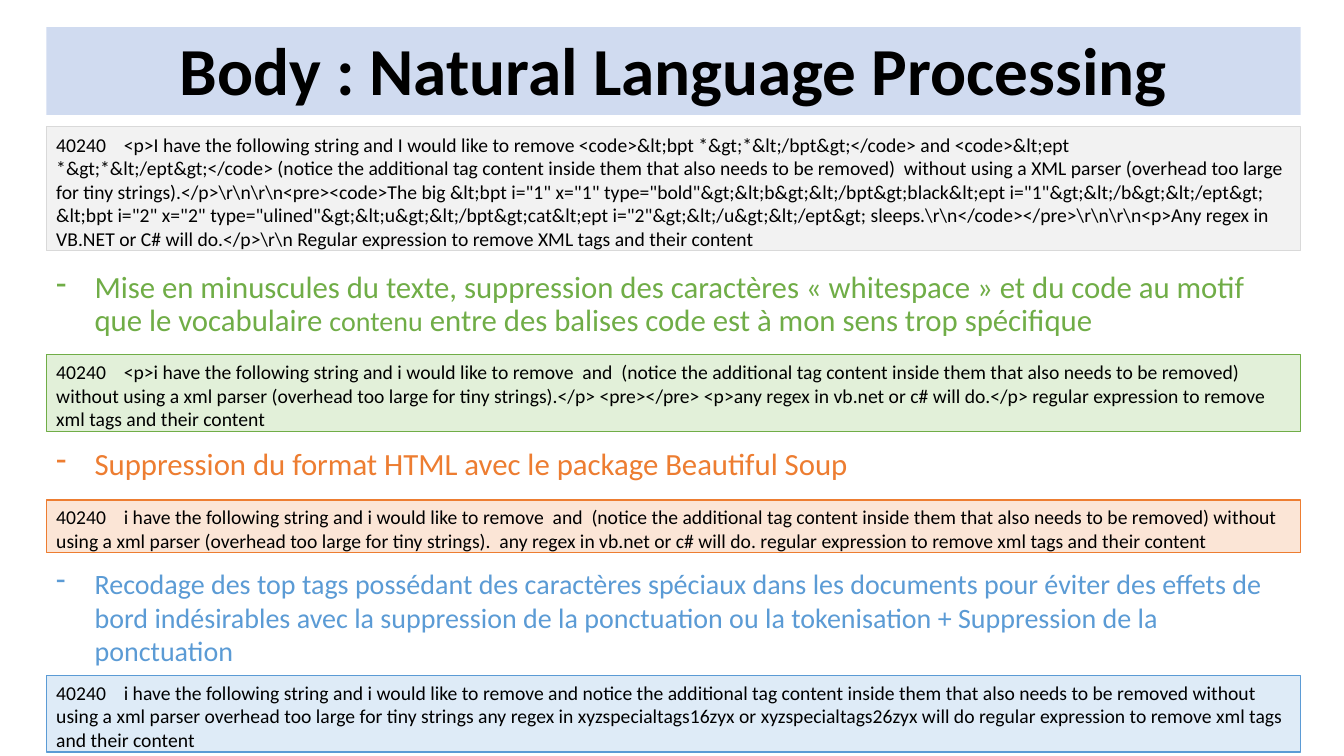
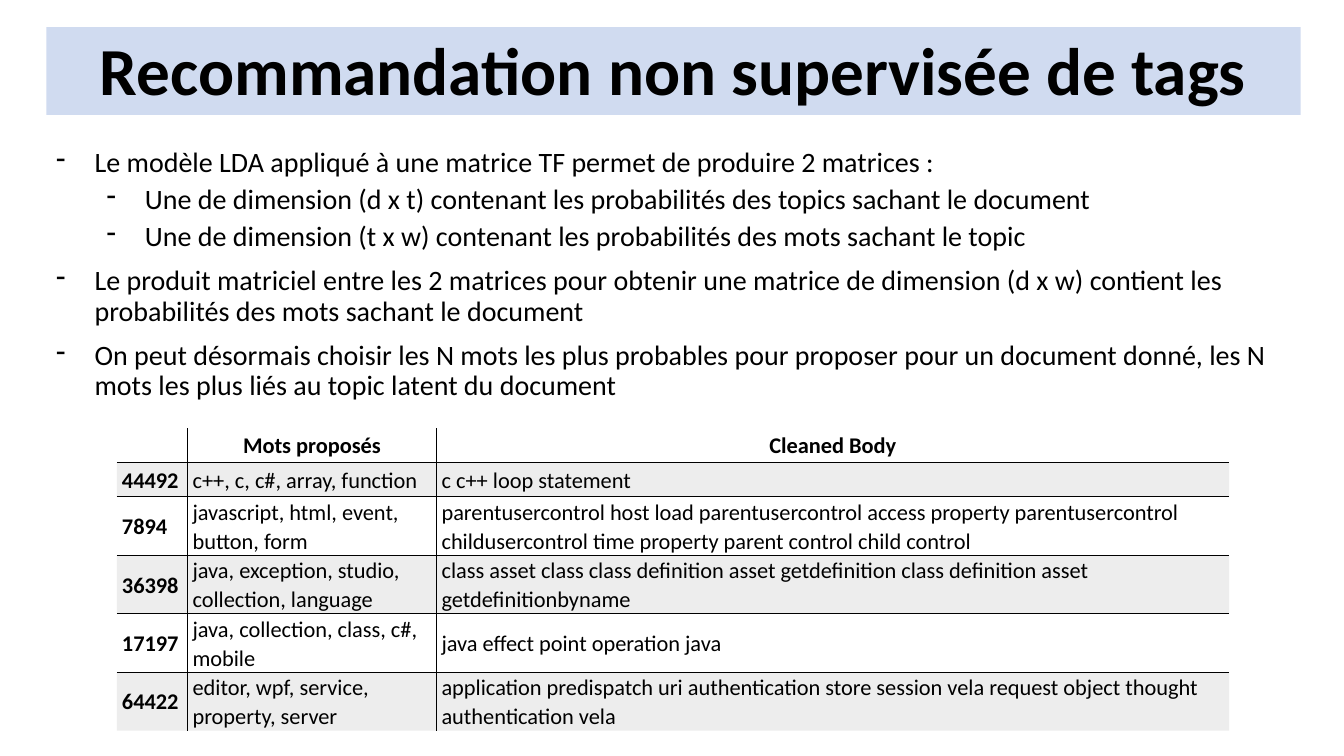
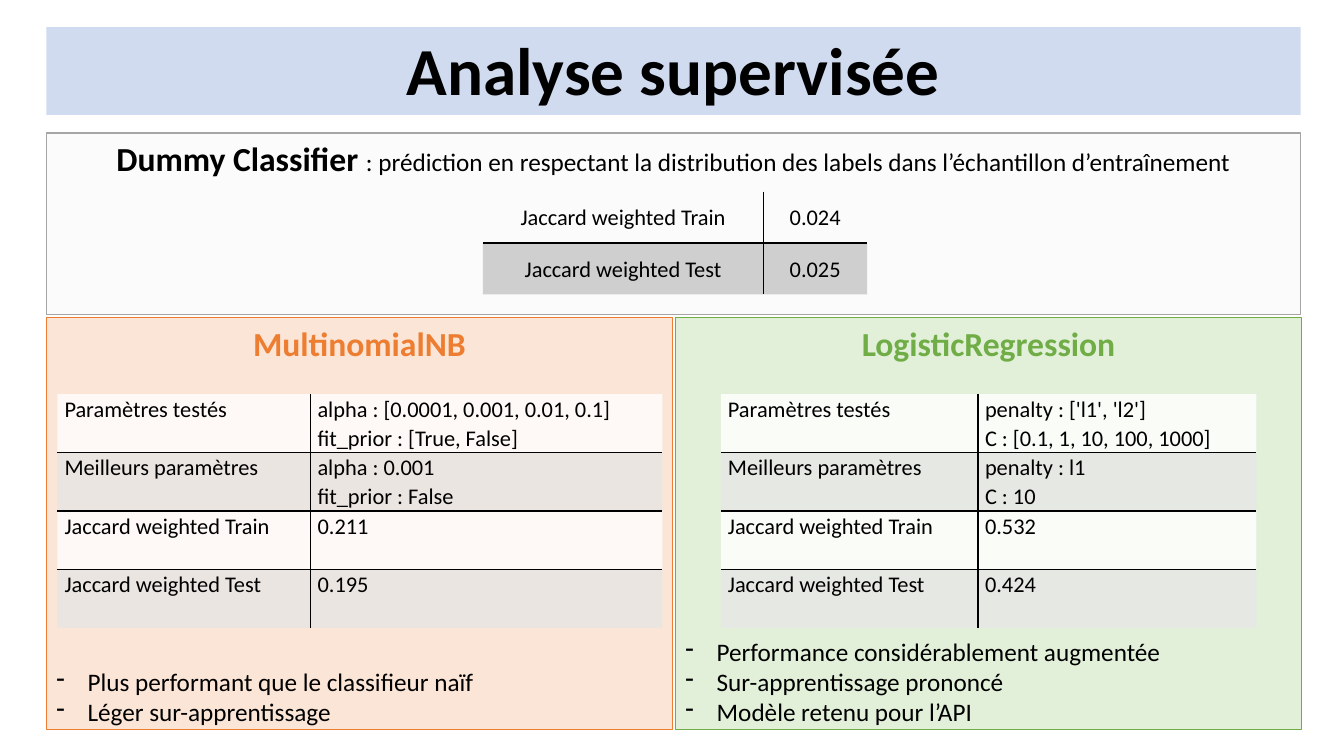
from lxml.etree import SubElement
from pptx import Presentation
from pptx.dml.color import RGBColor
from pptx.enum.shapes import MSO_SHAPE
from pptx.enum.text import MSO_ANCHOR as Anchor, PP_ALIGN as Align
from pptx.oxml.ns import qn
from pptx.util import Inches, Pt

COLORS = {
    "black": "000000", "white": "FFFFFF", "band": "4472C4",
    "pale": "F2F2F2", "silver": "D9D9D9", "gray": "A5A5A5", "stone": "E7E6E6",
    "green": "70AD47", "light green": "E2F0D9",
    "orange": "ED7D31", "light orange": "FBE5D6",
    "blue": "5B9BD5", "light blue": "DEEBF7",
}
FONT = "Calibri"
LEFT, WIDTH = 0.46, 12.44
HANGING = 0.38


def rgb(name):
    return RGBColor.from_string(COLORS[name])


def paint(fill, properties, color, opacity=100):
    """Fill with a named colour; properties is the XML element that holds the fill."""
    if color is None:
        fill.background()
        return
    fill.solid()
    fill.fore_color.rgb = rgb(color)
    if opacity < 100:
        tint = properties.find(qn("a:solidFill")).find(qn("a:srgbClr"))
        SubElement(tint, qn("a:alpha"), val=str(opacity * 1000))


def write(frame, content, size=18, color="black", bold=False, align=Align.LEFT,
          spacing=None, before=0, indent=None, hanging=HANGING, tab=None):
    """Add a paragraph; content is a string or a list of (text, size, bold)."""
    first = frame.paragraphs[0]
    para = frame.add_paragraph() if first.runs else first
    para.alignment = align
    para.space_before = Pt(before)
    if spacing:
        para.line_spacing = spacing
    properties = para._p.get_or_add_pPr()
    if indent is not None:
        properties.set("marL", str(Inches(indent)))
        properties.set("indent", str(-Inches(hanging)))
        SubElement(properties, qn("a:buChar"), char="-")
    if tab:
        stops = SubElement(properties, qn("a:tabLst"))
        SubElement(stops, qn("a:tab"), pos=str(Inches(tab)), algn="l")
    spans = [(content, size, bold)] if isinstance(content, str) else content
    for text, span_size, span_bold in spans:
        span = para.add_run()
        span.text = text
        span.font.name = FONT
        span.font.size = Pt(span_size)
        span.font.bold = span_bold
        span.font.color.rgb = rgb(color)


def draw_inner_edges(cell, inner):
    """Rule the sides named in inner and leave the other sides bare."""
    properties = cell._tc.get_or_add_tcPr()
    for side in "LRTB":
        edge = SubElement(properties, qn(f"a:ln{side}"), w=str(Pt(1)))
        if side in inner:
            solid = SubElement(edge, qn("a:solidFill"))
            SubElement(solid, qn("a:srgbClr"), val=COLORS["black"])
        else:
            SubElement(edge, qn("a:noFill"))


class Deck:
    def __init__(self):
        self.deck = Presentation()
        self.deck.slide_width, self.deck.slide_height = Inches(13.33), Inches(7.5)
        self.page = None

    def new_page(self, title):
        self.page = self.deck.slides.add_slide(self.deck.slide_layouts[6])
        band = self.panel(0.27, 0.87, "band", opacity=25, anchor=Anchor.BOTTOM)
        write(band, title, size=48, bold=True, align=Align.CENTER, spacing=0.9)

    def panel(self, top, height, fill, line=None, left=LEFT, width=WIDTH,
              opacity=100, weight=1, anchor=Anchor.TOP, bottom=0.05):
        box = self.page.shapes.add_shape(
            MSO_SHAPE.RECTANGLE, Inches(left), Inches(top), Inches(width), Inches(height))
        box.shadow.inherit = False
        paint(box.fill, box.element.spPr, fill, opacity)
        if line:
            box.line.color.rgb = rgb(line)
            box.line.width = Pt(weight)
        else:
            box.line.fill.background()
        frame = box.text_frame
        frame.word_wrap = True
        frame.vertical_anchor = anchor
        frame.margin_bottom = Inches(bottom)
        return frame

    def text(self, top, height, left=LEFT, width=WIDTH, anchor=Anchor.TOP):
        box = self.page.shapes.add_textbox(
            Inches(left), Inches(top), Inches(width), Inches(height))
        box.text_frame.word_wrap = True
        box.text_frame.vertical_anchor = anchor
        return box.text_frame

    def sample(self, top, height, text, fill, line, weight=1):
        """Framed state of the example document, with its number before a tab."""
        frame = self.panel(top, height, fill, line, weight=weight,
                           anchor=Anchor.MIDDLE, bottom=0)
        write(frame, "40240\t" + text, size=14, tab=0.67)

    def table(self, left, top, columns, heights, rows, bands, opacity,
              inset=0.07, anchor=Anchor.TOP, align=Align.LEFT, headed=False):
        """Table ruled inside only; bands are the fills of even and odd rows."""
        grid = self.page.shapes.add_table(
            len(rows), len(columns), Inches(left), Inches(top),
            Inches(sum(columns)), Inches(sum(heights))).table
        grid.first_row = grid.horz_banding = False
        for column, width in zip(grid.columns, columns):
            column.width = Inches(width)
        for row, height in zip(grid.rows, heights):
            row.height = Inches(height)
        for r, values in enumerate(rows):
            for c, value in enumerate(values):
                cell = grid.cell(r, c)
                cell.margin_left = cell.margin_right = Inches(inset)
                cell.margin_top = cell.margin_bottom = 0
                cell.vertical_anchor = anchor
                sides = {"L": c > 0, "R": c < len(columns) - 1,
                         "T": r > 0, "B": r < len(rows) - 1}
                draw_inner_edges(cell, [side for side, inner in sides.items() if inner])
                paint(cell.fill, cell._tc.get_or_add_tcPr(), bands[r % 2], opacity)
                for line in value.split("\n"):
                    write(cell.text_frame, line, size=16, spacing=1.06,
                          bold=headed and (r == 0 or c == 0),
                          align=Align.CENTER if headed and r == 0 else align)

    def model(self, left, name, color, table_left, columns, results, remarks):
        """Half-width panel for one classifier: name, results and remarks."""
        width = 6.21
        frame = self.panel(3.15, 4.09, f"light {color}", color, left=left, width=width)
        write(frame, name, size=24, color=color, bold=True, align=Align.CENTER)
        labels = ["Paramètres testés", "Meilleurs paramètres",
                  "Jaccard weighted Train", "Jaccard weighted Test"]
        self.table(table_left, 3.91, columns, [0.58] * 4, list(zip(labels, results)),
                   bands=("white", "stone"), opacity=80)
        notes = self.text(6.25, 1.01, left=left, width=width, anchor=Anchor.BOTTOM)
        for remark in remarks:
            write(notes, remark, indent=0.31, hanging=0.31)


def cleaning_page(deck):
    deck.new_page("Body : Natural Language Processing")
    deck.sample(
        1.26, 1.23,
        r'<p>I have the following string and I would like to remove '
        r'<code>&lt;bpt *&gt;*&lt;/bpt&gt;</code> and <code>&lt;ept *&gt;*&lt;/ept&gt;</code> '
        r'(notice the additional tag content inside them that also needs to be removed)  '
        r'without using a XML parser (overhead too large for tiny strings).</p>\r\n\r\n'
        r'<pre><code>The big &lt;bpt i="1" x="1" type="bold"&gt;&lt;b&gt;&lt;/bpt&gt;black'
        r'&lt;ept i="1"&gt;&lt;/b&gt;&lt;/ept&gt; &lt;bpt i="2" x="2" type="ulined"&gt;'
        r'&lt;u&gt;&lt;/bpt&gt;cat&lt;ept i="2"&gt;&lt;/u&gt;&lt;/ept&gt; sleeps.\r\n'
        r'</code></pre>\r\n\r\n<p>Any regex in VB.NET or C# will do.</p>\r\n '
        r'Regular expression to remove XML tags and their content',
        "pale", "silver", weight=0.75)

    write(deck.text(2.65, 0.87), [
        ("Mise en minuscules du texte, suppression des caractères « whitespace » "
         "et du code au motif que le vocabulaire ", 22, False),
        ("contenu", 20, False),
        (" entre des balises code est à mon sens trop spécifique", 22, False),
    ], color="green", spacing=0.9, before=10, indent=HANGING)
    deck.sample(
        3.52, 0.76,
        "<p>i have the following string and i would like to remove  and  (notice the "
        "additional tag content inside them that also needs to be removed) without using a "
        "xml parser (overhead too large for tiny strings).</p> <pre></pre> <p>any regex in "
        "vb.net or c# will do.</p> regular expression to remove xml tags and their content",
        "light green", "green")

    write(deck.text(4.36, 0.47), "Suppression du format HTML avec le package Beautiful Soup",
          size=22, color="orange", indent=HANGING)
    deck.sample(
        4.96, 0.52,
        "i have the following string and i would like to remove  and  (notice the additional "
        "tag content inside them that also needs to be removed) without using a xml parser "
        "(overhead too large for tiny strings).  any regex in vb.net or c# will do. regular "
        "expression to remove xml tags and their content",
        "light orange", "orange")

    write(deck.text(5.57, 1.11),
          "Recodage des top tags possédant des caractères spéciaux dans les documents pour "
          "éviter des effets de bord indésirables avec la suppression de la ponctuation ou la "
          "tokenisation + Suppression de la ponctuation",
          size=20, color="blue", indent=HANGING)
    deck.sample(
        6.7, 0.76,
        "i have the following string and i would like to remove and notice the additional tag "
        "content inside them that also needs to be removed without using a xml parser overhead "
        "too large for tiny strings any regex in xyzspecialtags16zyx or xyzspecialtags26zyx "
        "will do regular expression to remove xml tags and their content",
        "light blue", "blue")


def unsupervised_page(deck):
    deck.new_page("Recommandation non supervisée de tags")
    points = [
        (0, "Le modèle LDA appliqué à une matrice TF permet de produire 2 matrices :"),
        (1, "Une de dimension (d x t) contenant les probabilités des topics sachant le document"),
        (1, "Une de dimension (t x w) contenant les probabilités des mots sachant le topic"),
        (0, "Le produit matriciel entre les 2 matrices pour obtenir une matrice de dimension "
            "(d x w) contient les probabilités des mots sachant le document"),
        (0, "On peut désormais choisir les N mots les plus probables pour proposer pour un "
            "document donné, les N mots les plus liés au topic latent du document"),
    ]
    frame = deck.text(1.42, 2.7)
    for level, point in points:
        write(frame, point, size=20, spacing=0.9, before=5 if level else 10,
              indent=HANGING + 0.5 * level)

    rows = [
        ("", "Mots proposés", "Cleaned Body"),
        ("44492", "c++, c, c#, array, function", "c c++ loop statement"),
        ("7894", "javascript, html, event, button, form",
         "parentusercontrol host load parentusercontrol access property parentusercontrol "
         "childusercontrol time property parent control child control"),
        ("36398", "java, exception, studio, collection, language",
         "class asset class class definition asset getdefinition class definition asset "
         "getdefinitionbyname"),
        ("17197", "java, collection, class, c#, mobile", "java effect point operation java"),
        ("64422", "editor, wpf, service, property, server",
         "application predispatch uri authentication store session vela request object thought "
         "authentication vela"),
    ]
    deck.table(1.16, 4.25, [0.7, 2.47, 7.86], [0.34] * 2 + [0.58] * 4, rows,
               bands=(None, "gray"), opacity=20, inset=0.05, anchor=Anchor.MIDDLE, headed=True)


def supervised_page(deck):
    deck.new_page("Analyse supervisée")
    baseline = deck.panel(1.32, 1.8, "pale", "gray", opacity=30)
    write(baseline, [
        ("Dummy Classifier ", 24, True),
        (": prédiction en respectant la distribution des labels dans l’échantillon "
         "d’entraînement", 18, False),
    ], align=Align.CENTER)
    deck.table(4.79, 1.9, [2.78, 1.03], [0.51] * 2,
               [("Jaccard weighted Train", "0.024"), ("Jaccard weighted Test", "0.025")],
               bands=(None, "gray"), opacity=50, anchor=Anchor.MIDDLE, align=Align.CENTER)

    deck.model(
        LEFT, "MultinomialNB", "orange", 0.57, [2.51, 3.49],
        ["alpha : [0.0001, 0.001, 0.01, 0.1]\nfit_prior : [True, False]",
         "alpha : 0.001\nfit_prior : False", "0.211", "0.195"],
        ["Plus performant que le classifieur naïf", "Léger sur-apprentissage"])
    deck.model(
        6.7, "LogisticRegression", "green", 7.15, [2.55, 2.76],
        ["penalty : ['l1', 'l2']\nC : [0.1, 1, 10, 100, 1000]",
         "penalty : l1\nC : 10", "0.532", "0.424"],
        ["Performance considérablement augmentée", "Sur-apprentissage prononcé",
         "Modèle retenu pour l’API"])


def main():
    deck = Deck()
    cleaning_page(deck)
    unsupervised_page(deck)
    supervised_page(deck)
    deck.deck.save("out.pptx")


if __name__ == "__main__":
    main()
